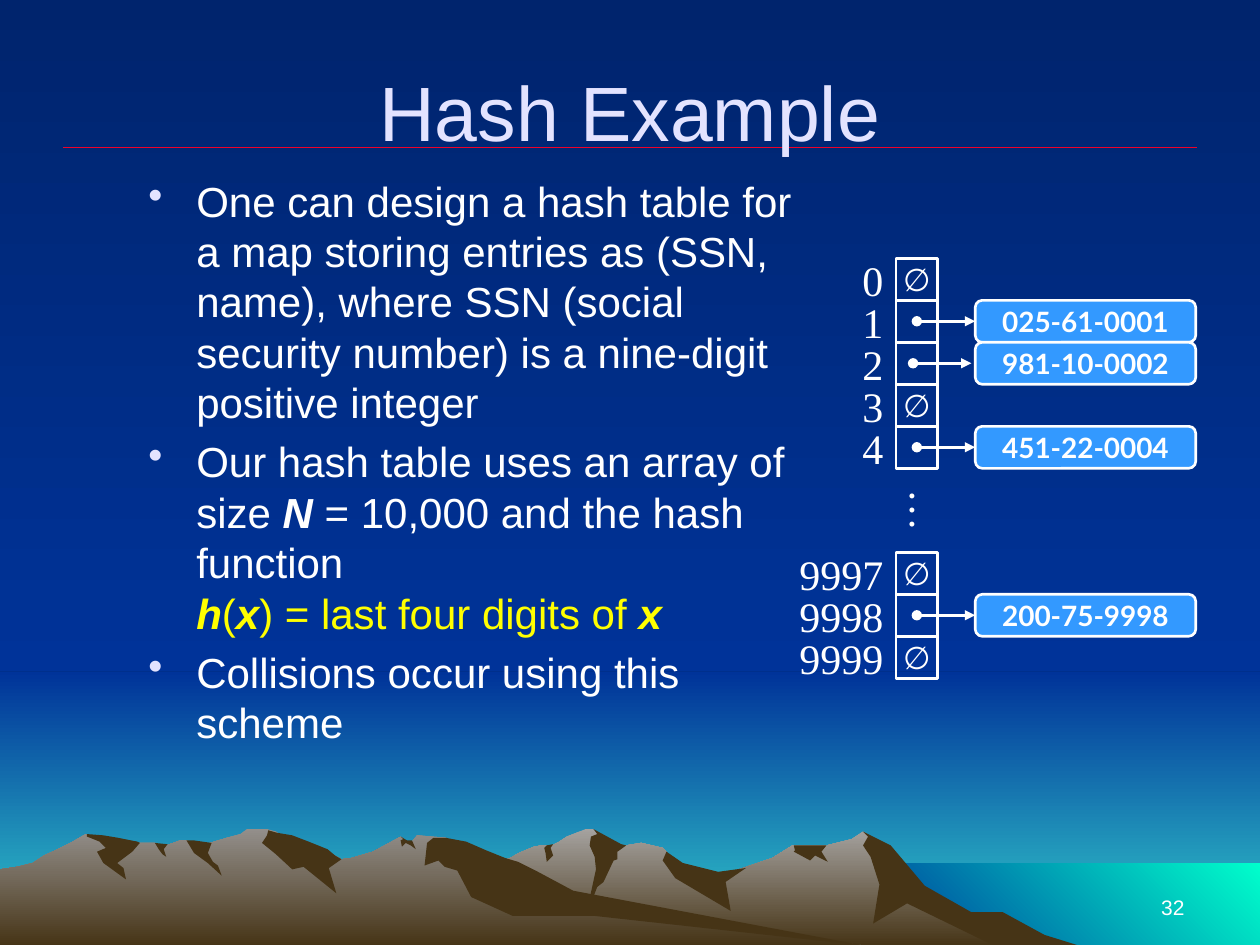
from lxml import etree
from pptx import Presentation
from pptx import util as u
from pptx.dml.color import RGBColor
from pptx.enum import shapes, text
from pptx.oxml.ns import qn

Inches = u.Inches
COLORS = {
    "night": "00246D", "blue": "003399", "horizon": "33CCCC", "sea": "00FFCC",
    "rock": "463416", "ridge": "A5A29F", "slope": "938F8B", "rule": "EF0129",
    "white": "FFFFFF", "title": "E3E3FF", "formula": "FFFF00", "card": "3399FF",
}
FORMATS = {
    "title": {"name": "Arial", "size": u.Pt(44)},
    "body": {"name": "Arial", "size": u.Pt(24)},
    "symbol": {"name": "Arial", "size": u.Pt(24), "bold": True, "italic": True},
    "number": {"name": "Arial", "size": u.Pt(12)},
    "index": {"name": "Times New Roman", "size": u.Pt(24)},
    "empty": {"name": "Lato", "size": u.Pt(18)},
    "key": {"name": "Lato", "size": u.Pt(16), "bold": True},
}
# Outlines in hundredths of an inch, measured from the top of the mountain band
RIDGE = """802,140 778,127 764,123 723,98 702,71 685,60 676,66 656,71 629,71 613,81 566,97
 536,90 529,76 526,73 509,69 497,71 486,73 474,61 471,58 465,58 450,64 444,68 438,71 430,71
 424,72 412,77 405,81 394,85 355,98 327,109 277,139 258,151 821,151"""
SLOPE = """690,151 667,148 432,112 354,65 331,63 327,68 323,68 318,64 296,76 279,81 271,82
 260,76 236,81 223,63 219,60 212,58 196,58 191,62 180,65 160,71 148,67 143,67 132,71 128,71
 123,69 111,69 94,71 68,62 56,69 46,74 35,79 26,85 14,88 0,90 0,151"""
RIDGE_SHADOWS = [
    """796,124 771,124 734,103 707,71 685,60 689,64 685,71 691,80 698,102 693,133 720,117
 792,152 858,151 829,142""",
    """471,58 474,62 469,64 468,71 472,80 473,90 465,127 474,104 479,100 487,83 490,82 490,76
 497,71 493,70""",
    "529,76 526,83 536,97 580,123 576,100 592,89 570,92 542,85",
    "650,71 630,71 631,75 630,76 643,83 647,79 657,84 652,76 656,71",
    "433,77 432,73 434,71 439,70 437,73 439,79 434,84",
]
SLOPE_SHADOWS = [
    """212,63 208,69 219,78 232,90 241,88 267,109 261,89 271,82 266,79 260,74 245,68 232,63
 220,61 213,59""",
    """370,68 354,65 344,65 339,69 337,87 348,83 353,88 363,91 374,112 407,127 472,127 690,151
 683,150 455,107 427,92 411,84 401,81 386,75""",
    "318,67 320,66 318,64 323,67 327,67 330,74 326,71 322,69 319,72",
    "154,67 168,69 165,77 169,84 173,87 176,95 165,85 154,77 148,67",
    "133,70 130,74 132,80 129,78 126,74 123,69",
    """109,68 111,69 105,76 93,85 98,89 100,98 82,85 77,76 84,73 79,68 69,64 69,62 82,63
 94,65""",
]


def rgb(name):
    return RGBColor.from_string(COLORS[name])


def paint(fill, first, last=None, angle=270):
    """Fill solidly, or with a gradient when a second colour is given."""
    if last is None:
        fill.solid()
        fill.fore_color.rgb = rgb(first)
        return
    fill.gradient()
    fill.gradient_angle = angle
    for stop, name in zip(fill.gradient_stops, (first, last)):
        stop.color.rgb = rgb(name)


def add_run(paragraph, words, style, color="white"):
    run = paragraph.add_run()
    run.text = words
    run.font.color.rgb = rgb(color)
    for key, value in FORMATS[style].items():
        setattr(run.font, key, value)


def write(shape, words, style, color="white", align="CENTER", anchor="MIDDLE", wrap=False):
    frame = shape.text_frame
    frame.word_wrap = wrap
    frame.vertical_anchor = text.MSO_ANCHOR[anchor]
    paragraph = frame.paragraphs[0]
    paragraph.alignment = text.PP_ALIGN[align]
    add_run(paragraph, words, style, color)


def add_box(slide, kind, left, top, width, height, fill=None):
    box = slide.shapes.add_shape(shapes.MSO_SHAPE[kind], left, top, width, height)
    box.shadow.inherit = False
    box.line.color.rgb = rgb("white")
    box.line.width = u.Pt(1.5)
    if fill:
        paint(box.fill, fill)
    else:
        box.fill.background()
    return box


def add_line(slide, start, end, color, width):
    line = slide.shapes.add_connector(shapes.MSO_CONNECTOR.STRAIGHT, *start, *end)
    line.line.color.rgb = rgb(color)
    line.line.width = u.Pt(width)
    etree.SubElement(line._element.spPr, qn("a:effectLst"))
    return line


def scenery(slide, left, top, width, height):
    paint(slide.background.fill, "night", "blue")
    horizon, sea_left, sea_top = Inches(5.33), Inches(6.83), Inches(6.85)
    for x, y, bottom, colors in (
        (0, horizon, height, ("blue", "horizon")),
        (0, 0, horizon, ("night", "blue")),
        (sea_left, sea_top, height, ("blue", "sea", 45)),
    ):
        band = add_box(slide, "RECTANGLE", left + x, top + y, width - x, bottom - y)
        band.line.fill.background()
        paint(band.fill, *colors)

    # Mountains, each ridge followed by its shaded faces
    outlines = [(RIDGE, ("ridge", "rock"))] + [(o, ("rock",)) for o in RIDGE_SHADOWS]
    outlines += [(SLOPE, ("slope", "rock"))] + [(o, ("rock",)) for o in SLOPE_SHADOWS]
    for outline, colors in outlines:
        points = [tuple(map(int, pair.split(","))) for pair in outline.split()]
        builder = slide.shapes.build_freeform(*points[0], scale=Inches(0.01))
        builder.add_line_segments(points[1:], close=True)
        face = builder.convert_to_shape(left, top + Inches(6))
        face.shadow.inherit = False
        face.line.fill.background()
        paint(face.fill, *colors)


def heading(slide, left, top, width, height):
    rule_y = top + Inches(0.92)
    add_line(slide, (left, rule_y), (left + width, rule_y), "rule", 0.75)
    title = slide.shapes.add_textbox(left, top, width, height)
    write(title, "Hash Example", "title", "title", wrap=True)


def explanation(slide, left, top, width, height):
    frame = slide.shapes.add_textbox(left, top, width, height).text_frame
    frame.word_wrap = True
    points = [
        [("One can design a hash table for a map storing entries as (SSN, name), where SSN "
          "(social security number) is a nine-digit positive integer", "body")],
        [("Our hash table uses an array of size ", "body"), ("N ", "symbol"),
         ("= 10,000 and the hash function", "body"), None,
         ("h", "symbol", "formula"), ("(", "body", "formula"), ("x", "symbol", "formula"),
         (") = last four digits of ", "body", "formula"), ("x", "symbol", "formula")],
        [("Collisions occur using this scheme", "body")],
    ]
    for i, runs in enumerate(points):
        paragraph = frame.add_paragraph() if i else frame.paragraphs[0]
        paragraph.space_before = u.Pt(5)
        props = paragraph._p.get_or_add_pPr()
        props.set("marL", str(Inches(0.38)))
        props.set("indent", str(-Inches(0.38)))
        bullet_color = etree.SubElement(props, qn("a:buClr"))
        etree.SubElement(bullet_color, qn("a:srgbClr"), val=COLORS["title"])
        etree.SubElement(props, qn("a:buChar"), char="•")
        for run in runs:
            if run:
                add_run(paragraph, *run)
            else:
                paragraph.add_line_break()


def hash_table(slide, left, top, width, height):
    rows = 10
    side = height // rows
    cell_left, card_left = left + Inches(0.87), left + Inches(2.5)
    keys = {"1": "025-61-0001", "2": "981-10-0002", "4": "451-22-0004", "9998": "200-75-9998"}
    slots = {"0": 0, "1": 1, "2": 2, "3": 3, "4": 4, "9997": 7, "9998": 8, "9999": 9}
    for index, row in slots.items():
        y = top + row * side
        cell = add_box(slide, "RECTANGLE", cell_left, y, side, side)
        label_width = Inches(0.2 + len(index) / 6)
        label = slide.shapes.add_textbox(cell_left - label_width, y - Inches(0.08),
                                         label_width, Inches(0.5))
        write(label, index, "index", align="RIGHT", anchor="TOP")
        if index not in keys:
            write(cell, "∅", "empty")
            continue
        card = add_box(slide, "ROUNDED_RECTANGLE", card_left - Inches(1), y,
                       left + width - card_left + Inches(1), side, "card")
        write(card, keys[index], "key")
        # The arrow of slot 2 stops short of its card
        shift = Inches(0.03) if index == "2" else 0
        middle = y + side // 2
        arrow = add_line(slide, (cell_left + side // 2 - shift, middle),
                         (card.left - shift, middle), "white", 1.5)
        if not shift:
            arrow.end_connect(card, 1)
        for end, kind in (("a:headEnd", "oval"), ("a:tailEnd", "triangle")):
            etree.SubElement(arrow.line._get_or_add_ln(), qn(end), type=kind)

    # Skipped slots
    dots = slide.shapes.add_textbox(left + Inches(0.85), top + Inches(1.75),
                                    Inches(0.53), Inches(0.5))
    dots.rotation = 90
    write(dots, "…", "index", anchor="TOP")


def slide_number(slide, left, top, width, height):
    box = slide.shapes.add_textbox(left, top, width, height)
    write(box, "32", "number", align="RIGHT", anchor="BOTTOM", wrap=True)


def main():
    deck = Presentation()
    deck.slide_width, deck.slide_height = Inches(10), Inches(7.5)
    slide = deck.slides.add_slide(deck.slide_layouts[6])
    scenery(slide, 0, 0, deck.slide_width, deck.slide_height)
    heading(slide, Inches(0.5), Inches(0.25), Inches(9), Inches(1.25))
    slide_number(slide, Inches(7.17), Inches(6.83), Inches(2.33), Inches(0.52))
    explanation(slide, Inches(1.08), Inches(1.34), Inches(5.33), Inches(5.42))
    hash_table(slide, Inches(6.24), Inches(2.05), Inches(3.25), Inches(10 / 3))
    deck.save("out.pptx")


if __name__ == "__main__":
    main()
